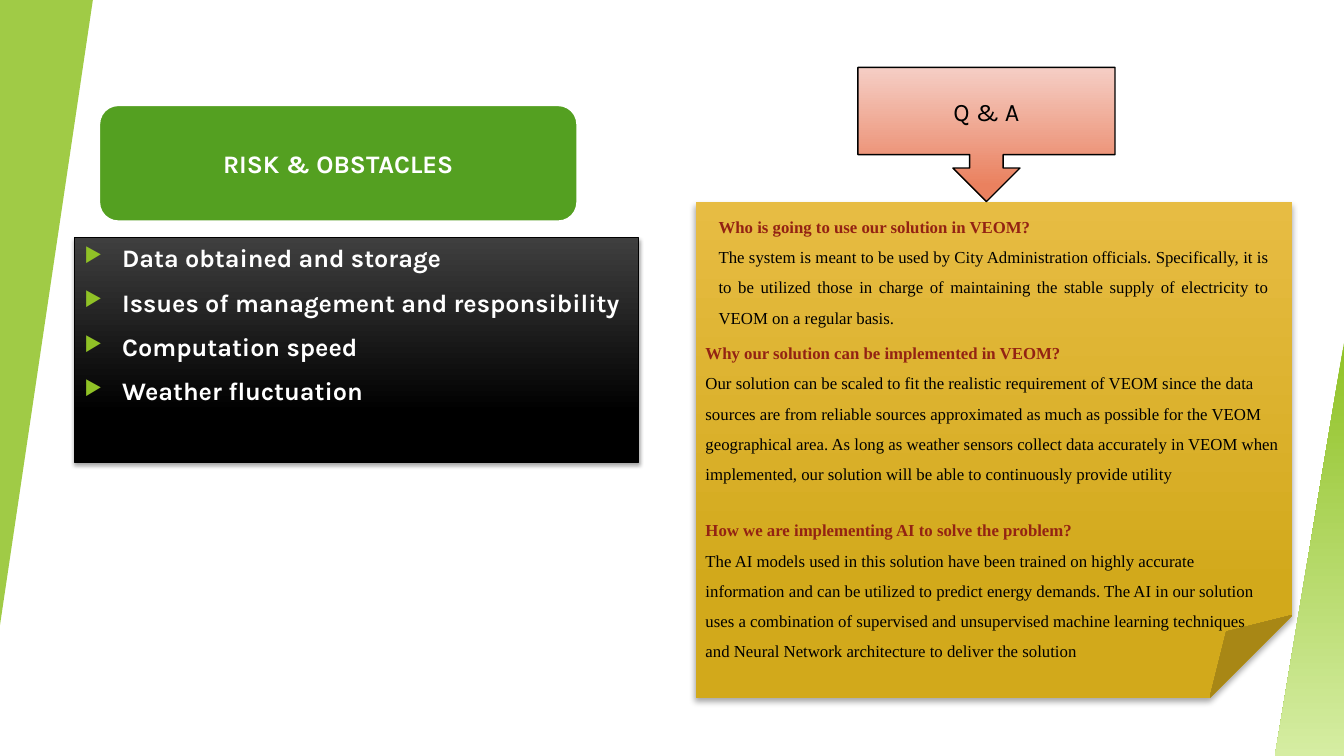
import pptx
import pptx.dml.color
import pptx.enum.shapes
import pptx.enum.text
import pptx.oxml
import pptx.oxml.ns
import pptx.util

Cm = pptx.util.Cm
Pt = pptx.util.Pt
SHAPES = pptx.enum.shapes.MSO_SHAPE
ALIGN = pptx.enum.text.PP_ALIGN
NS = pptx.oxml.ns.nsdecls("a")

RISKS = [
    "Data obtained and storage",
    "Issues of management and responsibility",
    "Computation speed",
    "Weather fluctuation",
]
QUESTIONS = [
    ((0.33, 0, 14.38, 3.33), ALIGN.JUSTIFY,
     "Who is going to use our solution in VEOM?",
     "The system is meant to be used by City Administration officials. Specifically, it is to be "
     "utilized those in charge of maintaining the stable supply of electricity to VEOM on a regular basis."),
    ((0, 3.18, 15.04, 4.11), ALIGN.LEFT,
     "Why our solution can be implemented in VEOM?",
     "Our solution can be scaled to fit the realistic requirement of VEOM since the data sources are "
     "from reliable sources approximated as much as possible for the VEOM geographical area. As long as "
     "weather sensors collect data accurately in VEOM when implemented, our solution will be able to "
     "continuously provide utility"),
    ((0, 7.65, 14.63, 4.11), ALIGN.LEFT,
     "How we are implementing AI to solve the problem?",
     "The AI models used in this solution have been trained on highly accurate information and can be "
     "utilized to predict energy demands. The AI in our solution uses a combination of supervised and "
     "unsupervised machine learning techniques and Neural Network architecture to deliver the solution"),
]

TITLE_FONT = {"name": "Karla", "size": Pt(18), "bold": True}
CALLOUT_FONT = {**TITLE_FONT, "bold": False}
QUESTION_FONT = {"name": "Times New Roman", "size": Pt(12), "bold": True}
ANSWER_FONT = {**QUESTION_FONT, "bold": False}
CENTERED = {"alignment": ALIGN.CENTER}


def rgb(value):
    """Turn a hex string into a colour."""
    return pptx.dml.color.RGBColor.from_string(value)


def apply(target, values):
    """Set each named attribute on the target."""
    for name, value in values.items():
        setattr(target, name, value)


def paint(shape, fill, line=None, width=1):
    """Fill with a hex colour or a list of (position, hex) stops, and outline."""
    shape.shadow.inherit = False
    if isinstance(fill, str):
        shape.fill.solid()
        shape.fill.fore_color.rgb = rgb(fill)
    else:
        shape.fill.gradient()
        shape.fill.gradient_angle = 270
        for stop, (position, color) in zip(shape.fill.gradient_stops, fill):
            stop.position = position
            stop.color.rgb = rgb(color)
    if line:
        shape.line.color.rgb = rgb(line)
        shape.line.width = Pt(width)
    else:
        shape.line.fill.background()


def drop_shadow(shape, blur, distance):
    """Cast a soft black shadow straight down."""
    effects = shape._element.spPr.find(pptx.oxml.ns.qn("a:effectLst"))
    effects.append(pptx.oxml.parse_xml(
        f'<a:outerShdw {NS} blurRad="{Pt(blur)}" dist="{Pt(distance)}" dir="5400000" rotWithShape="0">'
        '<a:srgbClr val="000000"><a:alpha val="35000"/></a:srgbClr></a:outerShdw>'))


def add_shape(slide, kind, box, *style):
    """Add a painted preset shape in a box given in centimetres."""
    shape = slide.shapes.add_shape(kind, *map(Cm, box))
    paint(shape, *style)
    return shape


def write(paragraph, text, font, color, layout):
    """Write one formatted paragraph."""
    paragraph.text = text
    apply(paragraph, layout)
    apply(paragraph.font, font)
    paragraph.font.color.rgb = rgb(color)


def add_bullet(paragraph):
    """Give a paragraph a green arrow bullet with a hanging indent."""
    properties = paragraph._p.get_or_add_pPr()
    properties.set("marL", str(Cm(0.95)))
    properties.set("indent", str(-Cm(0.95)))
    for bullet in ('<a:buClr {}><a:srgbClr val="90C226"/></a:buClr>',
                   '<a:buSzPct {} val="80000"/>',
                   '<a:buChar {} char="▶"/>'):
        properties.append(pptx.oxml.parse_xml(bullet.format(NS)))


def draw_edges(slide, width, height):
    """Draw the green wedges on the left and right edges."""
    left_wedge = add_shape(slide, SHAPES.ISOSCELES_TRIANGLE, (0, 0, 2.34, 15.75), "90C226")
    left_wedge.adjustments[0] = 1
    left_wedge.rotation = 180
    tint = left_wedge._element.spPr.find(".//" + pptx.oxml.ns.qn("a:srgbClr"))
    tint.append(pptx.oxml.parse_xml(f'<a:alpha {NS} val="85000"/>'))

    outline = slide.shapes.build_freeform(Cm(width), Cm(8.64))
    outline.add_line_segments([(Cm(width), Cm(height)), (Cm(width - 1.74), Cm(height))])
    paint(outline.convert_to_shape(), [(0, "90C226"), (1, "D5EDA2")])


def draw_risks(slide, left, top, width):
    """Draw the risk heading and the list below it."""
    heading = add_shape(slide, SHAPES.ROUNDED_RECTANGLE,
                        (left + 0.61, top, 12.07, 2.95), "54A021", "FFFFFF", 2)
    heading.text_frame.vertical_anchor = pptx.enum.text.MSO_ANCHOR.MIDDLE
    write(heading.text_frame.paragraphs[0], "RISK & OBSTACLES", TITLE_FONT, "FFFFFF", CENTERED)

    panel = add_shape(slide, SHAPES.RECTANGLE, (left, top + 3.35, width, 5.66),
                      [(0, "3F3F3F"), (0.78, "000000")], "000000")
    drop_shadow(panel, 3, 2)
    frame = panel.text_frame
    frame.vertical_anchor = pptx.enum.text.MSO_ANCHOR.TOP
    for index, risk in enumerate(RISKS):
        paragraph = frame.add_paragraph() if index else frame.paragraphs[0]
        add_bullet(paragraph)
        write(paragraph, risk, TITLE_FONT, "FFFFFF",
              {"alignment": ALIGN.LEFT, "space_before": Pt(10 if index else 0)})


def draw_questions(slide, left, top, width, height):
    """Draw the note with questions and answers and the callout above it."""
    note = add_shape(slide, SHAPES.FOLDED_CORNER, (left, top, width, height),
                     [(0, "E7BC43"), (0.78, "D2A91B")])
    drop_shadow(note, 4, 3)
    for (x, y, w, h), answer_align, question, answer in QUESTIONS:
        frame = slide.shapes.add_textbox(Cm(left + x), Cm(top + y), Cm(w), Cm(h)).text_frame
        apply(frame, {"word_wrap": True,
                      "auto_size": pptx.enum.text.MSO_AUTO_SIZE.SHAPE_TO_FIT_TEXT})
        write(frame.paragraphs[0], question, QUESTION_FONT, "932313",
              {"alignment": ALIGN.JUSTIFY, "line_spacing": 1.5})
        write(frame.add_paragraph(), answer, ANSWER_FONT, "000000",
              {"alignment": answer_align, "line_spacing": 1.5})

    callout = add_shape(slide, SHAPES.DOWN_ARROW_CALLOUT, (left + 4.09, top - 3.38, 6.48, 3.38),
                        [(0, "F5CEC5"), (0.88, "EA815F")], "000000")
    callout.text_frame.vertical_anchor = pptx.enum.text.MSO_ANCHOR.MIDDLE
    write(callout.text_frame.paragraphs[0], "Q & A", CALLOUT_FONT, "000000", CENTERED)


def main():
    """Build and save the slide."""
    deck = pptx.Presentation()
    width, height = 33.87, 19.05
    apply(deck, {"slide_width": Cm(width), "slide_height": Cm(height)})
    slide = deck.slides.add_slide(deck.slide_layouts[6])
    draw_edges(slide, width, height)
    draw_risks(slide, 1.88, 2.64, 14.22)
    draw_questions(slide, 17.53, 5.08, 15.04, 12.5)
    deck.save("out.pptx")


if __name__ == "__main__":
    main()
